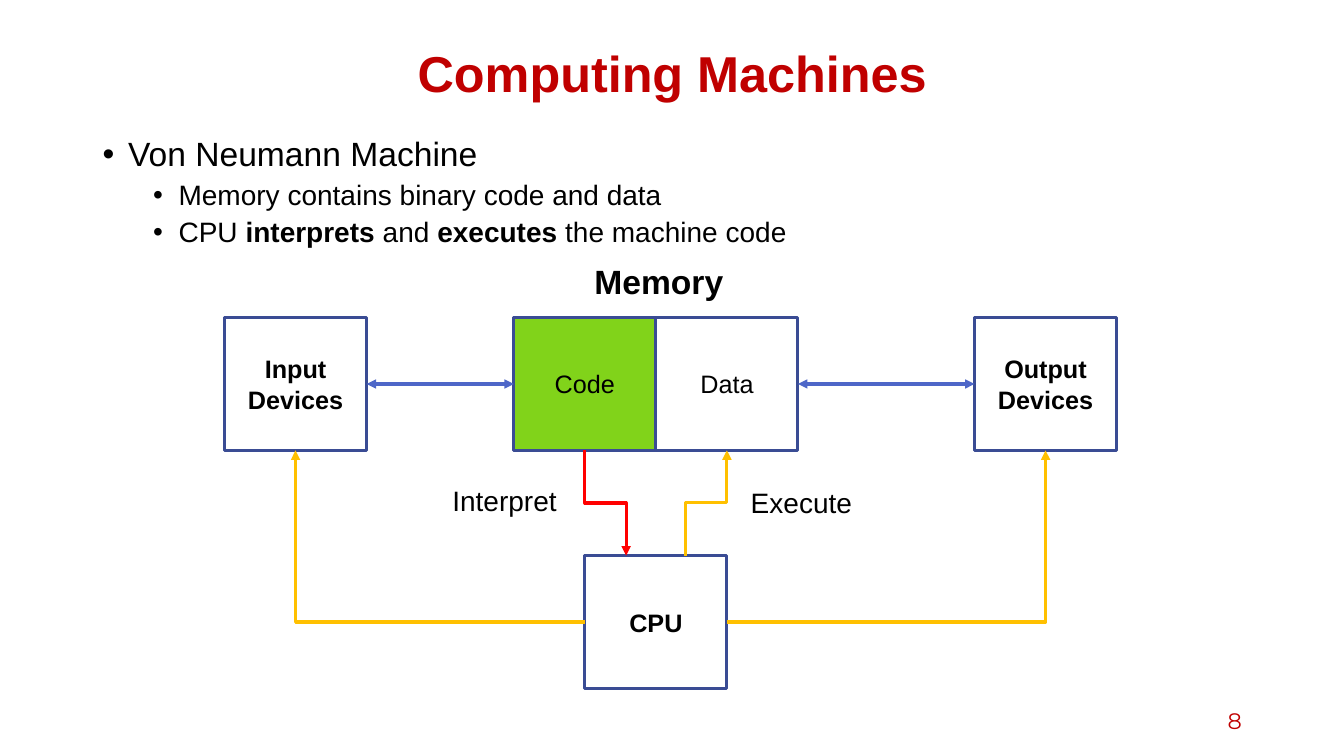
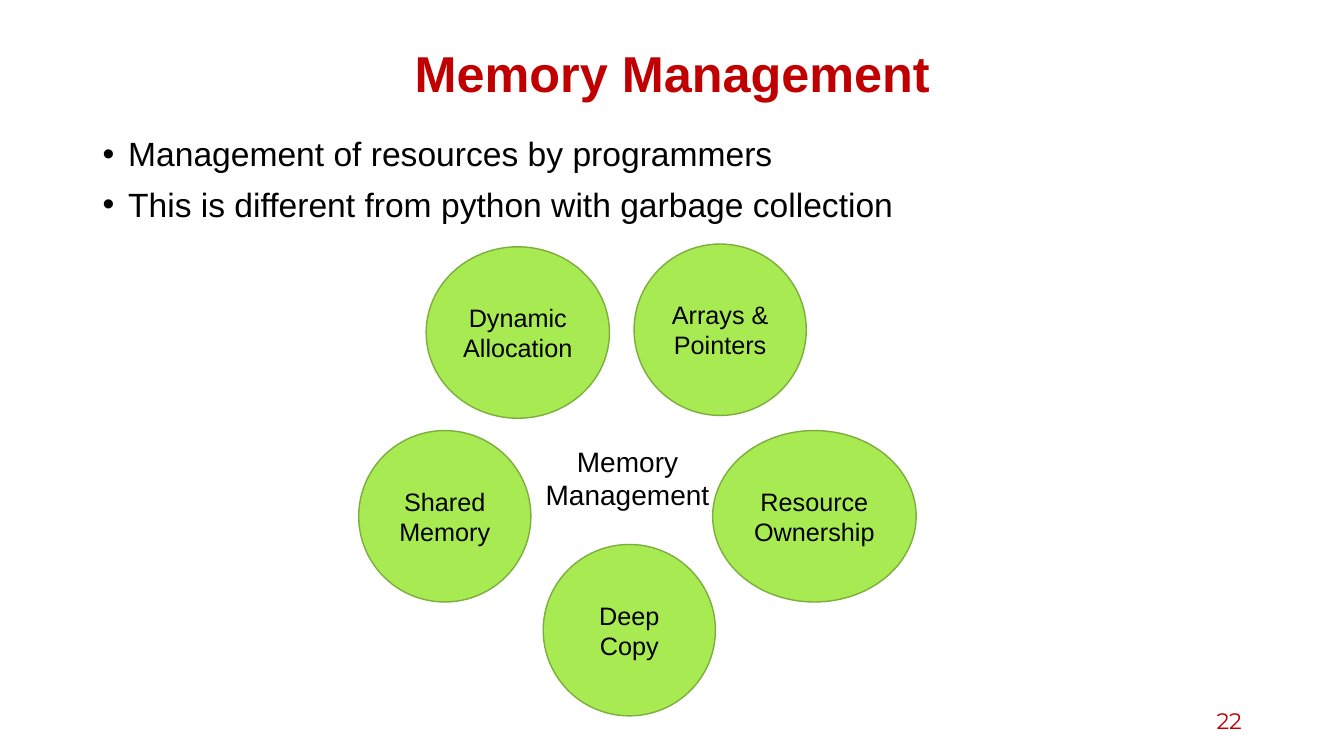
from dataclasses import dataclass

from lxml import etree
from pptx import Presentation
from pptx.dml.color import RGBColor
from pptx.enum import shapes, text
from pptx.oxml import ns
from pptx.util import Cm, Pt


@dataclass(frozen=True)
class Theme:
    """Colours, fonts and type sizes shared by the slides."""
    font: str = "Arial"
    number_font: str = "Montserrat"
    accent: str = "C00000"
    ink: str = "000000"
    white: str = "FFFFFF"
    code: str = "81D31A"
    box_line: str = "3A4C94"
    data_flow: str = "4E67C8"
    interpret: str = "FF0000"
    execute: str = "FFC000"
    circle: str = "A7EA52"
    circle_line: str = "7CAD3D"
    title_size: int = 36
    heading_size: int = 24
    label_size: int = 20
    shape_size: int = 18
    number_size: int = 16
    line_width: float = 2.25


THEME = Theme()
CENTER, LEFT, RIGHT = text.PP_ALIGN.CENTER, text.PP_ALIGN.LEFT, text.PP_ALIGN.RIGHT
MIDDLE, TOP = text.MSO_ANCHOR.MIDDLE, text.MSO_ANCHOR.TOP
RECTANGLE, OVAL = shapes.MSO_SHAPE.RECTANGLE, shapes.MSO_SHAPE.OVAL

TITLE_AREA = (2.34, 1.02, 29.21, 1.78)
BODY_AREA = (2.34, 3.35, 29.21, 14)
NUMBER_AREA = (23.93, 17.65, 7.62, 1.02)
BULLET_INDENT = 0.64
BULLET_LEVELS = [(0.64, THEME.heading_size, 10), (1.91, THEME.label_size, 5)]

MACHINE_BULLETS = [
    (0, [("Von Neumann Machine", False)]),
    (1, [("Memory contains binary code and data", False)]),
    (1, [("CPU ", False), ("interprets", True), (" and ", False),
         ("executes", True), (" the machine code", False)]),
]
MEMORY_BULLETS = [
    (0, [("Management of resources by programmers", False)]),
    (0, [("This is different from python with garbage collection", False)]),
]

BOX_WIDTH, BOX_HEIGHT = 3.58, 3.35
ROW_TOP, CPU_TOP = 8, 14
CODE_LEFT = 12.95
MEMORY_CENTER = CODE_LEFT + BOX_WIDTH
CPU_LEFT = MEMORY_CENTER - BOX_WIDTH / 2
PORT_OFFSET = 0.75
BOXES = {
    "Code": (CODE_LEFT, ROW_TOP, THEME.code, False),
    "Data": (MEMORY_CENTER, ROW_TOP, THEME.white, False),
    "CPU": (CPU_LEFT, CPU_TOP, THEME.white, True),
    "Input Devices": (5.66, ROW_TOP, THEME.white, True),
    "Output Devices": (24.56, ROW_TOP, THEME.white, True),
}
DATA_FLOWS = [("Input Devices", "Code"), ("Data", "Output Devices")]
MACHINE_LABELS = [
    ("Memory", (14.73, 6.45, 4.95, 1.27), THEME.heading_size, True),
    ("Interpret", (11.15, 12.07, 4.95, 1.12), THEME.label_size, False),
    ("Execute", (18.67, 12.12, 4.95, 1.12), THEME.label_size, False),
]

CIRCLE_HEIGHT = 4.32
CIRCLES = [
    ("Shared Memory", 9.04, 10.85, 4.34),
    ("Dynamic Allocation", 10.74, 6.22, 4.62),
    ("Arrays & Pointers", 15.98, 6.15, 4.34),
    ("Resource Ownership", 17.96, 10.85, 5.13),
    ("Deep Copy", 13.69, 13.72, 4.34),
]
HUB = ("Memory\nManagement", (13.34, 11.07, 4.95, 1.96))


def lengths(values):
    """Turn centimetre numbers into lengths."""
    return [Cm(value) for value in values]


def color(value):
    """Return the colour object of a hex value."""
    return RGBColor.from_string(value)


def style_run(run, size, bold=False, ink=THEME.ink, font=THEME.font):
    """Format one run."""
    run.font.name, run.font.size, run.font.bold = font, Pt(size), bold
    run.font.color.rgb = color(ink)


def write(shape, words, size, align=LEFT, anchor=TOP, **style):
    """Fill a shape with uniformly formatted text."""
    frame = shape.text_frame
    frame.text = words
    frame.word_wrap = True
    frame.auto_size = text.MSO_AUTO_SIZE.NONE
    frame.vertical_anchor = anchor
    for paragraph in frame.paragraphs:
        paragraph.alignment = align
        for run in paragraph.runs:
            style_run(run, size, **style)


def add_label(slide, words, area, size, **style):
    """Add a text box."""
    write(slide.shapes.add_textbox(*lengths(area)), words, size, **style)


def add_node(slide, kind, words, area, fill, line, width, bold=False):
    """Add a filled and outlined shape with a centred label."""
    shape = slide.shapes.add_shape(kind, *lengths(area))
    shape.shadow.inherit = False
    shape.fill.solid()
    shape.fill.fore_color.rgb = color(fill)
    shape.line.color.rgb = color(line)
    shape.line.width = Pt(width)
    write(shape, words, THEME.shape_size, CENTER, MIDDLE, bold=bold)
    return shape


def add_bullets(slide, bullets):
    """Add the bulleted text of a slide."""
    frame = slide.shapes.add_textbox(*lengths(BODY_AREA)).text_frame
    frame.word_wrap = True
    for index, (level, parts) in enumerate(bullets):
        paragraph = frame.add_paragraph() if index else frame.paragraphs[0]
        margin, size, space = BULLET_LEVELS[level]
        paragraph.level = level
        paragraph.line_spacing = 0.9
        paragraph.space_before = Pt(space if index else 0)
        properties = paragraph._p.get_or_add_pPr()
        properties.set("marL", str(Cm(margin)))
        properties.set("indent", str(-Cm(BULLET_INDENT)))
        etree.SubElement(properties, ns.qn("a:buFont"), typeface=THEME.font)
        etree.SubElement(properties, ns.qn("a:buChar"), char="•")
        for words, bold in parts:
            run = paragraph.add_run()
            run.text = words
            style_run(run, size, bold)


def add_arrow(slide, kind, begin, end, ink, both_ends=False):
    """Add a connector with an arrowhead at its end, or at both ends."""
    connector = slide.shapes.add_connector(kind, *lengths(begin + end))
    connector.line.color.rgb = color(ink)
    connector.line.width = Pt(THEME.line_width)
    line = connector.line._get_or_add_ln()
    for tag in ("a:headEnd", "a:tailEnd") if both_ends else ("a:tailEnd",):
        etree.SubElement(line, ns.qn(tag), type="triangle")
    etree.SubElement(connector.element.spPr, ns.qn("a:effectLst"))
    return connector


def add_step(slide, begin, end, ink):
    """Add a vertical, horizontal, vertical arrow leading to the right."""
    (x1, y1), (x2, y2) = begin, end
    middle_x, middle_y = (x1 + x2) / 2, (y1 + y2) / 2
    run, rise = abs(y2 - y1) / 2, (x2 - x1) / 2
    down = y2 > y1
    if not down:
        rise = -rise
    connector = add_arrow(slide, shapes.MSO_CONNECTOR.ELBOW,
                          (middle_x + run, middle_y - rise),
                          (middle_x - run, middle_y + rise), ink)
    turn = 270 if down else 90
    connector.element.spPr.find(ns.qn("a:xfrm")).set("rot", str(turn * 60000))


def add_corner(slide, begin, end, ink):
    """Add a horizontal, then vertical arrow."""
    connector = add_arrow(slide, shapes.MSO_CONNECTOR.ELBOW, begin, end, ink)
    connector.element.spPr.find(ns.qn("a:prstGeom")).set("prst", "bentConnector2")


def add_slide(presentation, title, number, bullets):
    """Add a slide with its title, bullets and number."""
    slide = presentation.slides.add_slide(presentation.slide_layouts[5])
    heading = slide.shapes.title
    heading.left, heading.top, heading.width, heading.height = lengths(TITLE_AREA)
    write(heading, title, THEME.title_size, CENTER, MIDDLE, bold=True, ink=THEME.accent)
    heading.text_frame.paragraphs[0].line_spacing = 0.9
    add_bullets(slide, bullets)
    add_label(slide, number, NUMBER_AREA, THEME.number_size, align=RIGHT,
              anchor=MIDDLE, ink=THEME.accent, font=THEME.number_font)
    return slide


def build_machine(presentation):
    """Build the computing machine diagram."""
    slide = add_slide(presentation, "Computing Machines", "8", MACHINE_BULLETS)
    nodes = {
        name: add_node(slide, RECTANGLE, name, (left, top, BOX_WIDTH, BOX_HEIGHT),
                       fill, THEME.box_line, THEME.line_width, bold)
        for name, (left, top, fill, bold) in BOXES.items()
    }
    for source, target in DATA_FLOWS:
        connector = add_arrow(slide, shapes.MSO_CONNECTOR.STRAIGHT, (0, 0), (1, 1),
                              THEME.data_flow, both_ends=True)
        connector.begin_connect(nodes[source], 3)
        connector.end_connect(nodes[target], 1)

    row_bottom = ROW_TOP + BOX_HEIGHT
    base = {name: (box[0] + BOX_WIDTH / 2, row_bottom) for name, box in BOXES.items()}
    add_step(slide, base["Code"], (MEMORY_CENTER - PORT_OFFSET, CPU_TOP), THEME.interpret)
    add_step(slide, (MEMORY_CENTER + PORT_OFFSET, CPU_TOP), base["Data"], THEME.execute)
    cpu_middle = CPU_TOP + BOX_HEIGHT / 2
    for side, device in ((0, "Input Devices"), (BOX_WIDTH, "Output Devices")):
        add_corner(slide, (CPU_LEFT + side, cpu_middle), base[device], THEME.execute)
    for words, area, size, bold in MACHINE_LABELS:
        add_label(slide, words, area, size, bold=bold)


def build_memory(presentation):
    """Build the memory management diagram."""
    slide = add_slide(presentation, "Memory Management", "22", MEMORY_BULLETS)
    for words, left, top, width in CIRCLES:
        add_node(slide, OVAL, words, (left, top, width, CIRCLE_HEIGHT),
                 THEME.circle, THEME.circle_line, 1)
    add_label(slide, *HUB, THEME.label_size, align=CENTER)


def main():
    """Build and save the presentation."""
    presentation = Presentation()
    presentation.slide_width, presentation.slide_height = lengths((33.87, 19.05))
    build_machine(presentation)
    build_memory(presentation)
    presentation.save("out.pptx")


if __name__ == "__main__":
    main()
